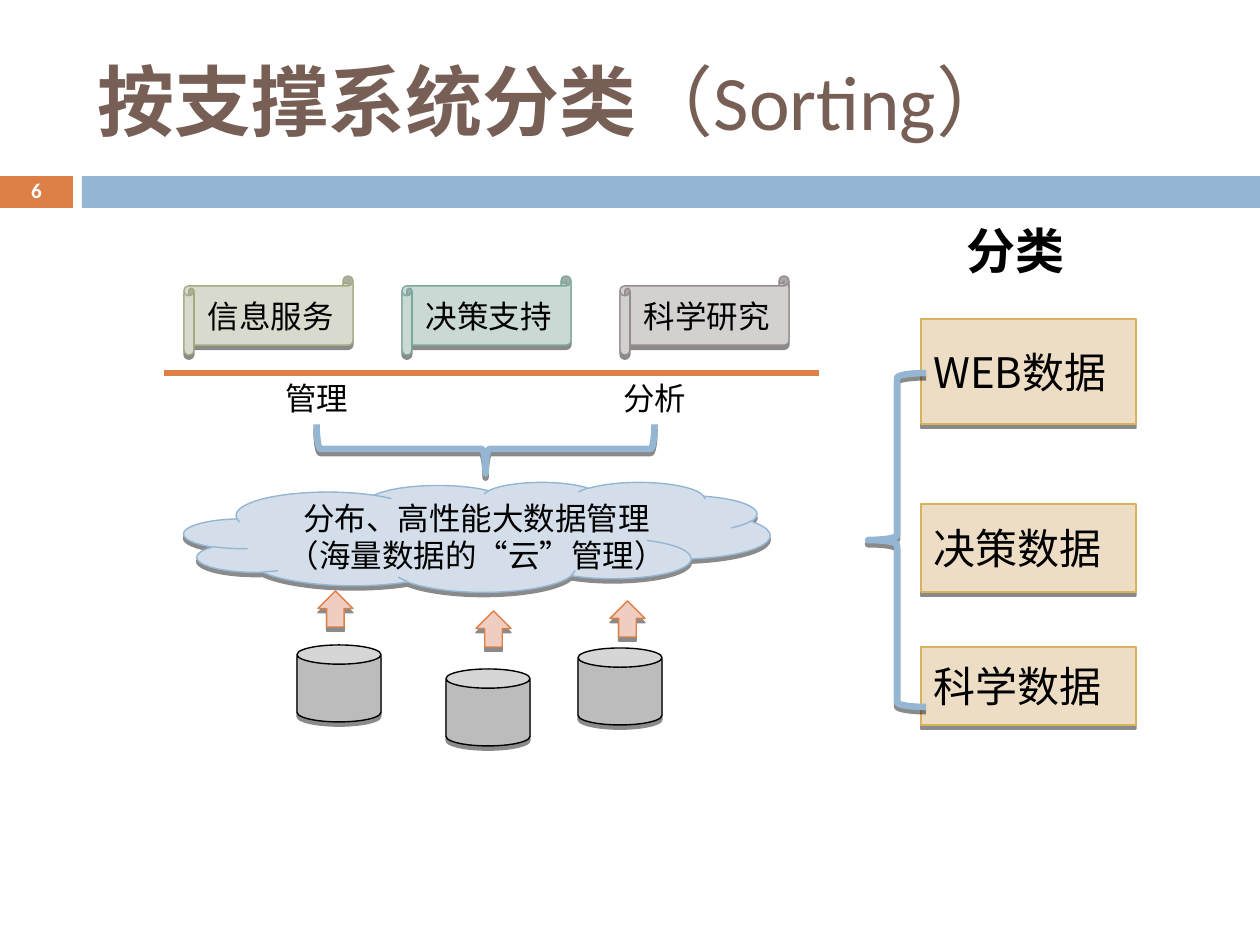
"""Build the slide that sorts big data by its supporting systems."""
from dataclasses import dataclass
from typing import Optional

from lxml.etree import SubElement
from pptx import Presentation
from pptx.dml.color import RGBColor
from pptx.enum.lang import MSO_LANGUAGE_ID as Language
from pptx.enum.shapes import MSO_CONNECTOR as Connector, MSO_SHAPE as Shape
from pptx.enum.text import MSO_ANCHOR as Anchor, MSO_AUTO_SIZE as Fit, PP_ALIGN as Align
from pptx.oxml.ns import qn
from pptx.util import Emu, Pt

PX = 914400 / 126
CJK = "Noto Sans CJK JP"
COLORS = {
    "black": "000000", "white": "FFFFFF", "title": "775F55",
    "orange": "DD8047", "blue": "94B6D2", "cloud": "D3DEEA",
    "olive": "A5AB81", "olive_pale": "D8DACD",
    "teal": "7BA79D", "teal_pale": "CBD9D5",
    "gray": "968C8C", "gray_pale": "D3D0D0",
    "gold": "D8B25C", "sand": "EDDDC4",
    "disk": "BCBCBC", "arrow": "EFCDC1",
}


@dataclass(frozen=True)
class Area:
    left: int
    top: int
    width: int
    height: int

    def emu(self) -> tuple:
        return tuple(px(n) for n in (self.left, self.top, self.width, self.height))


@dataclass(frozen=True)
class Span:
    text: str
    size: int = 18
    color: str = "black"
    bold: bool = False
    font: str = CJK


@dataclass(frozen=True)
class Block:
    kind: Shape
    area: Area
    fill: Optional[str] = None
    line: Optional[str] = None
    weight: float = 0.79
    shadow: bool = True
    rotation: int = 0


@dataclass(frozen=True)
class Layout:
    align: Align = Align.LEFT
    anchor: Anchor = Anchor.MIDDLE
    wrap: bool = True
    spacing: float = 1.0
    fit: Fit = Fit.NONE


CENTERED = Layout(Align.CENTER, wrap=False)
LABEL = Layout(anchor=Anchor.TOP, wrap=False, fit=Fit.SHAPE_TO_FIT_TEXT)


def px(length: int) -> Emu:
    return Emu(round(length * PX))


def rgb(name: str) -> RGBColor:
    return RGBColor.from_string(COLORS[name])


def write(box, paragraphs: list[list[Span]], layout: Layout) -> None:
    frame = box.text_frame
    frame.auto_size = layout.fit
    frame.word_wrap = layout.wrap
    frame.vertical_anchor = layout.anchor
    for index, spans in enumerate(paragraphs):
        para = frame.add_paragraph() if index else frame.paragraphs[0]
        para.alignment = layout.align
        para.line_spacing = layout.spacing
        for span in spans:
            run = para.add_run()
            run.text = span.text
            font = run.font
            font.size, font.bold, font.name = Pt(span.size), span.bold, span.font
            font.color.rgb = rgb(span.color)
            font.language_id = Language.SIMPLIFIED_CHINESE
            SubElement(run._r.get_or_add_rPr(), qn("a:ea"), typeface=CJK)


def add_text(page, area: Area, spans: list[Span], layout: Layout) -> None:
    write(page.shapes.add_textbox(*area.emu()), [spans], layout)


def cast_shadow(shape) -> None:
    effects = shape._element.spPr.find(qn("a:effectLst"))
    outer = SubElement(effects, qn("a:outerShdw"), blurRad="0", dist="30480",
                       dir="5400000", rotWithShape="0")
    color = SubElement(outer, qn("a:srgbClr"), val=COLORS["black"])
    SubElement(color, qn("a:alpha"), val="45000")


def add_block(page, block: Block):
    shape = page.shapes.add_shape(block.kind, *block.area.emu())
    shape.rotation = block.rotation
    if block.fill:
        shape.fill.solid()
        shape.fill.fore_color.rgb = rgb(block.fill)
    else:
        shape.fill.background()
    if block.line:
        shape.line.color.rgb = rgb(block.line)
        shape.line.width = Pt(block.weight)
    else:
        shape.line.fill.background()
    shape.shadow.inherit = False
    if block.shadow:
        cast_shadow(shape)
    return shape


def add_divider(page, left: int, right: int, top: int) -> None:
    line = page.shapes.add_connector(Connector.STRAIGHT, px(left), px(top), px(right), px(top))
    line.line.color.rgb = rgb("orange")
    line.line.width = Pt(3.75)
    SubElement(line._element.spPr, qn("a:effectLst"))


def add_header(page) -> None:
    for left, width, color in ((0, 73, "orange"), (82, 1178, "blue")):
        add_block(page, Block(Shape.RECTANGLE, Area(left, 176, width, 32), color, shadow=False))
    add_text(page, Area(85, 32, 1124, 136),
             [Span("按支撑系统分类", 44, "title", True, "Calibri"),
              Span("（Sorting）", 44, "title", False, "Calibri")], Layout())
    add_text(page, Area(0, 175, 73, 34), [Span("6", 12, "white", True, "Calibri")],
             Layout(Align.CENTER, spacing=0.8))


def add_system(page) -> None:
    cloud = add_block(page, Block(Shape.CLOUD, Area(184, 482, 586, 110), "cloud", "blue"))
    write(cloud, [[Span("分布、高性能大数据管理")], [Span("（海量数据的“云”管理）")]], CENTERED)
    frame = cloud.text_frame
    frame.margin_left, frame.margin_right, frame.margin_top = px(41), px(0), px(10)
    add_block(page, Block(Shape.RIGHT_BRACE, Area(461, 280, 49, 338), None, "blue", 3.75,
                          rotation=90))
    for left, label in ((273, "管理"), (611, "分析")):
        add_text(page, Area(left, 373, 88, 50), [Span(label)], LABEL)
    scrolls = (("信息服务", "olive"), ("决策支持", "teal"), ("科学研究", "gray"))
    for index, (label, color) in enumerate(scrolls):
        area = Area(184 + 218 * index, 276, 169, 79)
        scroll = add_block(page, Block(Shape.HORIZONTAL_SCROLL, area, f"{color}_pale", color))
        write(scroll, [[Span(label)]], CENTERED)
    add_divider(page, 164, 819, 373)
    for left, top in ((297, 645), (446, 669), (578, 648)):
        add_block(page, Block(Shape.CAN, Area(left, top, 84, 77), "disk", "black"))
    for left, top in ((318, 591), (476, 611), (610, 601)):
        add_block(page, Block(Shape.UP_ARROW, Area(left, top, 35, 36), "arrow", "orange"))


def add_categories(page) -> None:
    add_text(page, Area(954, 214, 124, 72), [Span("分类", 28, bold=True)], LABEL)
    for label, top, height in (("WEB数据", 319, 105), ("决策数据", 504, 88), ("科学数据", 647, 78)):
        card = add_block(page, Block(Shape.RECTANGLE, Area(921, top, 215, height), "sand", "gold"))
        write(card, [[Span(label, 24)]], Layout())
    add_block(page, Block(Shape.RIGHT_BRACE, Area(868, 373, 58, 334), None, "blue", 3.75,
                          rotation=180))


def main() -> None:
    deck = Presentation()
    deck.slide_width, deck.slide_height = px(1260), px(945)
    page = deck.slides.add_slide(deck.slide_layouts[6])
    add_header(page)
    add_system(page)
    add_categories(page)
    deck.save("out.pptx")


if __name__ == "__main__":
    main()
